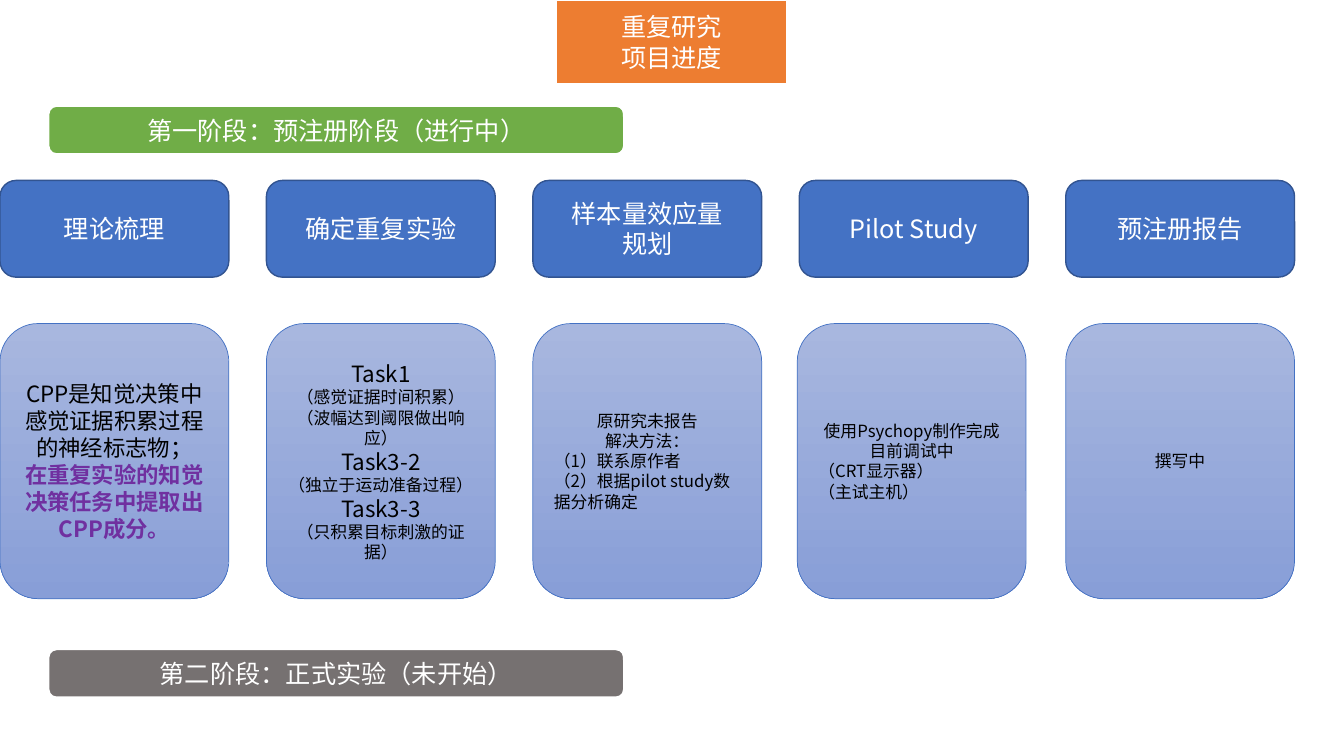
from dataclasses import dataclass

from lxml import etree
from pptx import Presentation
from pptx.dml.color import RGBColor
from pptx.enum.shapes import MSO_SHAPE
from pptx.enum.text import MSO_ANCHOR, MSO_AUTO_SIZE, PP_ALIGN
from pptx.oxml.ns import qn
from pptx.util import Inches, Pt


@dataclass(frozen=True)
class Theme:
    font: str = "Noto Sans CJK SC"
    white: str = "FFFFFF"
    black: str = "000000"
    orange: str = "ED7D31"
    green: str = "70AD47"
    gray: str = "767171"
    blue: str = "4472C4"
    dark_blue: str = "325491"
    purple: str = "7030A0"
    card_top: str = "A8B7DF"
    card_bottom: str = "889ED7"
    heading: int = 18
    large: int = 16
    small: int = 12


@dataclass(frozen=True)
class Line:
    text: str
    size: int
    color: str = Theme.black
    bold: bool = False
    align: PP_ALIGN = PP_ALIGN.CENTER


def rgb(color):
    return RGBColor.from_string(color)


class ProgressSlide:
    def __init__(self, presentation, theme):
        self.theme = theme
        self.slide = presentation.slides.add_slide(presentation.slide_layouts[5])

    def set_text(self, shape, lines):
        frame = shape.text_frame
        frame.word_wrap = True
        frame.auto_size = MSO_AUTO_SIZE.NONE
        frame.vertical_anchor = MSO_ANCHOR.MIDDLE
        for index, line in enumerate(lines):
            paragraph = frame.add_paragraph() if index else frame.paragraphs[0]
            paragraph.text = line.text
            paragraph.alignment = line.align
            paragraph.line_spacing = 1.0
            paragraph.space_before = Pt(0)
            font = paragraph.font
            font.name = self.theme.font
            font.size = Pt(line.size)
            font.bold = line.bold
            font.color.rgb = rgb(line.color)
            properties = paragraph._p.pPr.find(qn("a:defRPr"))
            etree.SubElement(properties, qn("a:ea"), typeface=self.theme.font)

    def outline(self, shape, color, width):
        shape.line.color.rgb = rgb(color)
        shape.line.width = Pt(width)

    def paint(self, shape, fill, line_color, width):
        shape.fill.solid()
        shape.fill.fore_color.rgb = rgb(fill)
        self.outline(shape, line_color, width)

    def rounded(self, left, top, width, height):
        shape = self.slide.shapes.add_shape(
            MSO_SHAPE.ROUNDED_RECTANGLE,
            Inches(left), Inches(top), Inches(width), Inches(height))
        shape.shadow.inherit = False
        return shape

    def headings(self, texts):
        return [Line(text, self.theme.heading, self.theme.white) for text in texts]

    def title(self, texts):
        title = self.slide.shapes.title
        title.left, title.top = Inches(5.51), Inches(0)
        title.width, title.height = Inches(2.3), Inches(0.83)
        geometry = etree.Element(qn("a:prstGeom"), prst="roundRect")
        etree.SubElement(geometry, qn("a:avLst"))
        title._element.spPr.find(qn("a:xfrm")).addnext(geometry)
        self.paint(title, self.theme.orange, self.theme.white, 1.5)
        self.set_text(title, self.headings(texts))

    def phase(self, top, text, fill):
        bar = self.rounded(0.48, top, 5.71, 0.48)
        self.paint(bar, fill, self.theme.white, 1.5)
        self.set_text(bar, self.headings([text]))

    def step(self, left, texts):
        box = self.rounded(left, 1.79, 2.27, 0.96)
        self.paint(box, self.theme.blue, self.theme.dark_blue, 1)
        self.set_text(box, self.headings(texts))

    def card(self, left, lines):
        card = self.rounded(left, 3.21, 2.27, 2.73)
        card.fill.gradient()
        card.fill.gradient_angle = 270
        colors = (self.theme.card_top, self.theme.card_bottom)
        for stop, color in zip(card.fill.gradient_stops, colors):
            stop.color.rgb = rgb(color)
        self.outline(card, self.theme.blue, 0.5)
        self.set_text(card, lines)


def main():
    theme = Theme()
    large, small, left = theme.large, theme.small, PP_ALIGN.LEFT
    steps = [
        (["理论梳理"], 0, [
            Line("CPP是知觉决策中感觉证据积累过程的神经标志物；", large),
            Line("在重复实验的知觉决策任务中提取出CPP成分。", large, theme.purple, True),
        ]),
        (["确定重复实验"], 0, [
            Line("Task1", large),
            Line("（感觉证据时间积累）", small),
            Line("（波幅达到阈限做出响应）", small),
            Line("Task3-2", large),
            Line("（独立于运动准备过程）", small),
            Line("Task3-3", large),
            Line("（只积累目标刺激的证据）", small),
        ]),
        (["样本量效应量", "规划"], 0, [
            Line("原研究未报告", small),
            Line("解决方法：", small),
            Line("（1）联系原作者", small, align=left),
            Line("（2）根据pilot study数据分析确定", small, align=left),
        ]),
        (["Pilot Study"], -0.02, [
            Line("使用Psychopy制作完成", small),
            Line("目前调试中", small),
            Line("（CRT显示器）", small, align=left),
            Line("（主试主机）", small, align=left),
        ]),
        (["预注册报告"], 0, [Line("撰写中", small)]),
    ]

    presentation = Presentation()
    presentation.slide_width = Inches(13.33)
    presentation.slide_height = Inches(7.5)

    progress = ProgressSlide(presentation, theme)
    progress.title(["重复研究", "项目进度"])
    progress.phase(1.05, "第一阶段：预注册阶段（进行中）", theme.green)
    for column, (heading, card_shift, lines) in enumerate(steps):
        step_left = column * 10.57 / 4
        progress.step(step_left, heading)
        progress.card(step_left + card_shift, lines)
    progress.phase(6.44, "第二阶段：正式实验（未开始）", theme.gray)

    presentation.save("out.pptx")


if __name__ == "__main__":
    main()
